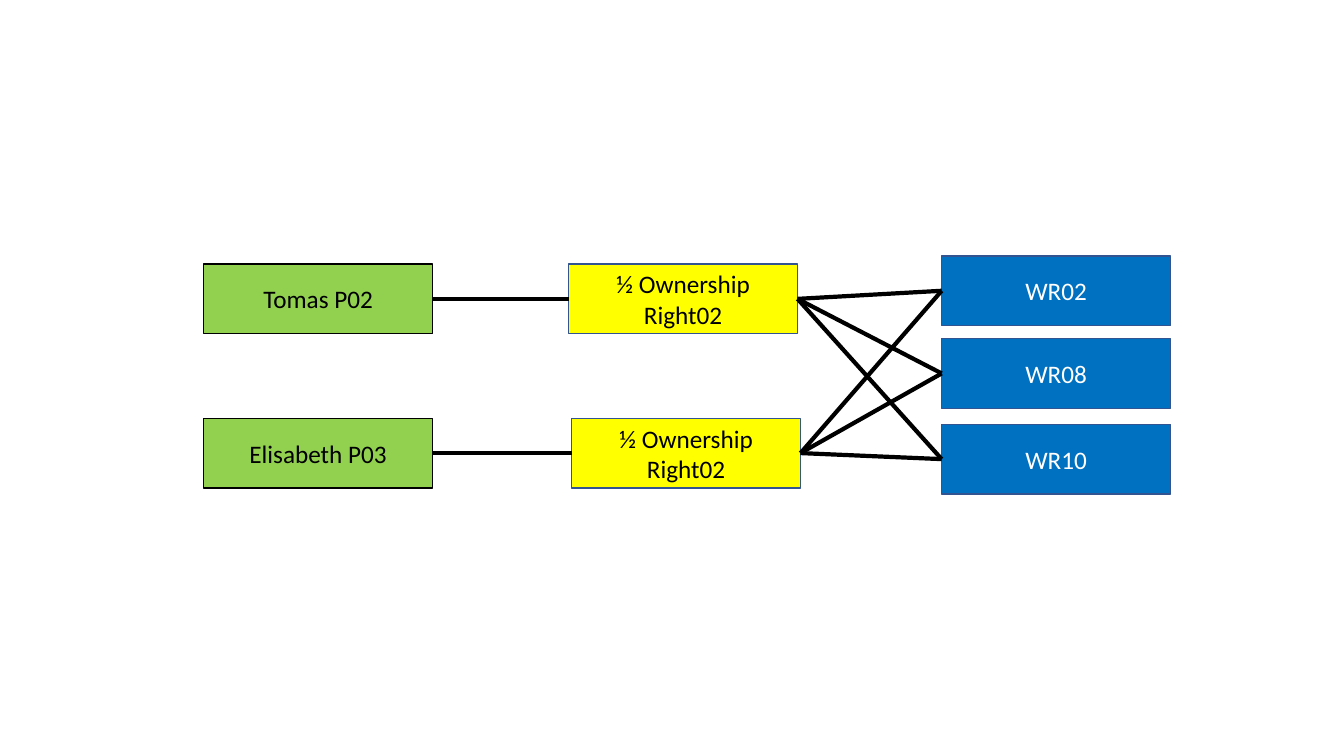
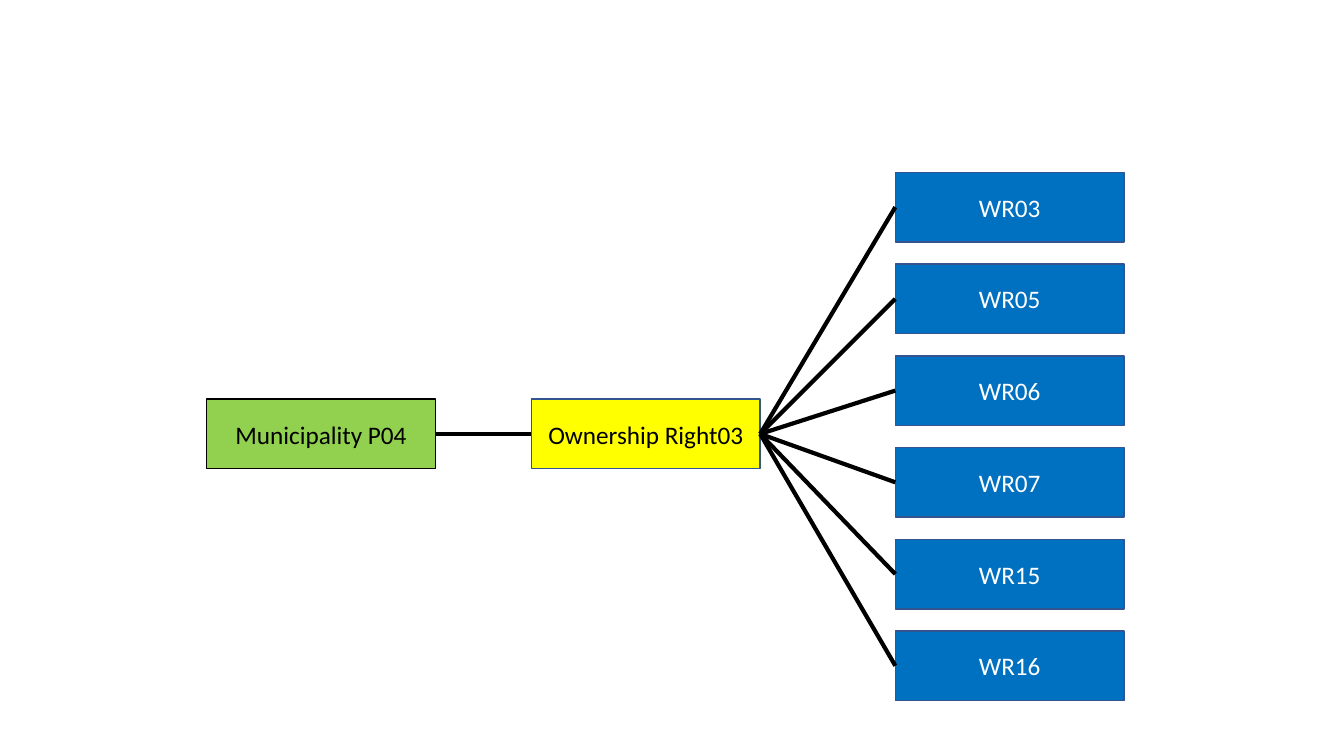
import pptx
import pptx.util
import pptx.dml.color
import pptx.enum.shapes
import pptx.enum.text
from lxml import etree

Inches = pptx.util.Inches
Pt = pptx.util.Pt
RGBColor = pptx.dml.color.RGBColor

BLACK = RGBColor(0x00, 0x00, 0x00)
WHITE = RGBColor(0xFF, 0xFF, 0xFF)
GREEN = RGBColor(0x92, 0xD0, 0x50)
YELLOW = RGBColor(0xFF, 0xFF, 0x00)
BLUE = RGBColor(0x00, 0x70, 0xC0)
NAVY = RGBColor(0x32, 0x54, 0x91)

FONT = "Calibri"
BOX_W, BOX_H = 2.27, 0.69
LEFT, RIGHT = 1, 3
DRAW_NS = "http://schemas.openxmlformats.org/drawingml/2006/main"


def add_box(slide, text, x, y, fill, edge, ink):
    box = slide.shapes.add_shape(
        pptx.enum.shapes.MSO_SHAPE.RECTANGLE,
        Inches(x), Inches(y), Inches(BOX_W), Inches(BOX_H))
    box.shadow.inherit = False
    box.fill.solid()
    box.fill.fore_color.rgb = fill
    box.line.color.rgb = edge
    box.line.width = Pt(1)
    frame = box.text_frame
    frame.word_wrap = True
    frame.vertical_anchor = pptx.enum.text.MSO_ANCHOR.MIDDLE
    frame.text = text
    para = frame.paragraphs[0]
    para.alignment = pptx.enum.text.PP_ALIGN.CENTER
    font = para.runs[0].font
    font.name = FONT
    font.size = Pt(18)
    font.color.rgb = ink
    return box


def add_party(slide, text, x, y):
    return add_box(slide, text, x, y, GREEN, BLACK, BLACK)


def add_right(slide, text, x, y):
    return add_box(slide, text, x, y, YELLOW, NAVY, BLACK)


def add_water(slide, text, x, y):
    return add_box(slide, text, x, y, BLUE, NAVY, WHITE)


def link(slide, start, end):
    line = slide.shapes.add_connector(
        pptx.enum.shapes.MSO_CONNECTOR.STRAIGHT, 0, 0, 0, 0)
    line.begin_connect(start, RIGHT)
    line.end_connect(end, LEFT)
    line.line.color.rgb = BLACK
    line.line.width = Pt(3)
    etree.SubElement(line._element.spPr, f"{{{DRAW_NS}}}effectLst")


def link_all(slide, party, right, waters):
    link(slide, party, right)
    for water in waters:
        link(slide, right, water)


def add_shared(slide):
    waters = [add_water(slide, text, 9.34, y)
              for text, y in (("WR02", 2.54), ("WR08", 3.36), ("WR10", 4.21))]
    owners = (("Tomas P02", 5.64, 2.62), ("Elisabeth P03", 5.67, 4.15))
    for name, x, y in owners:
        party = add_party(slide, name, 2.02, y)
        right = add_right(slide, "½ Ownership Right02", x, y)
        link_all(slide, party, right, waters)


def add_single(slide):
    names = ("WR03", "WR05", "WR06", "WR07", "WR15", "WR16")
    waters = [add_water(slide, name, 8.88, 1.71 + 0.91 * row)
              for row, name in enumerate(names)]
    party = add_party(slide, "Municipality P04", 2.05, 3.96)
    right = add_right(slide, "Ownership Right03", 5.27, 3.96)
    link_all(slide, party, right, waters)


def main():
    deck = pptx.Presentation()
    deck.slide_width = Inches(13.33)
    deck.slide_height = Inches(7.5)
    for build in (add_shared, add_single):
        build(deck.slides.add_slide(deck.slide_layouts[6]))
    deck.save("out.pptx")


main()
